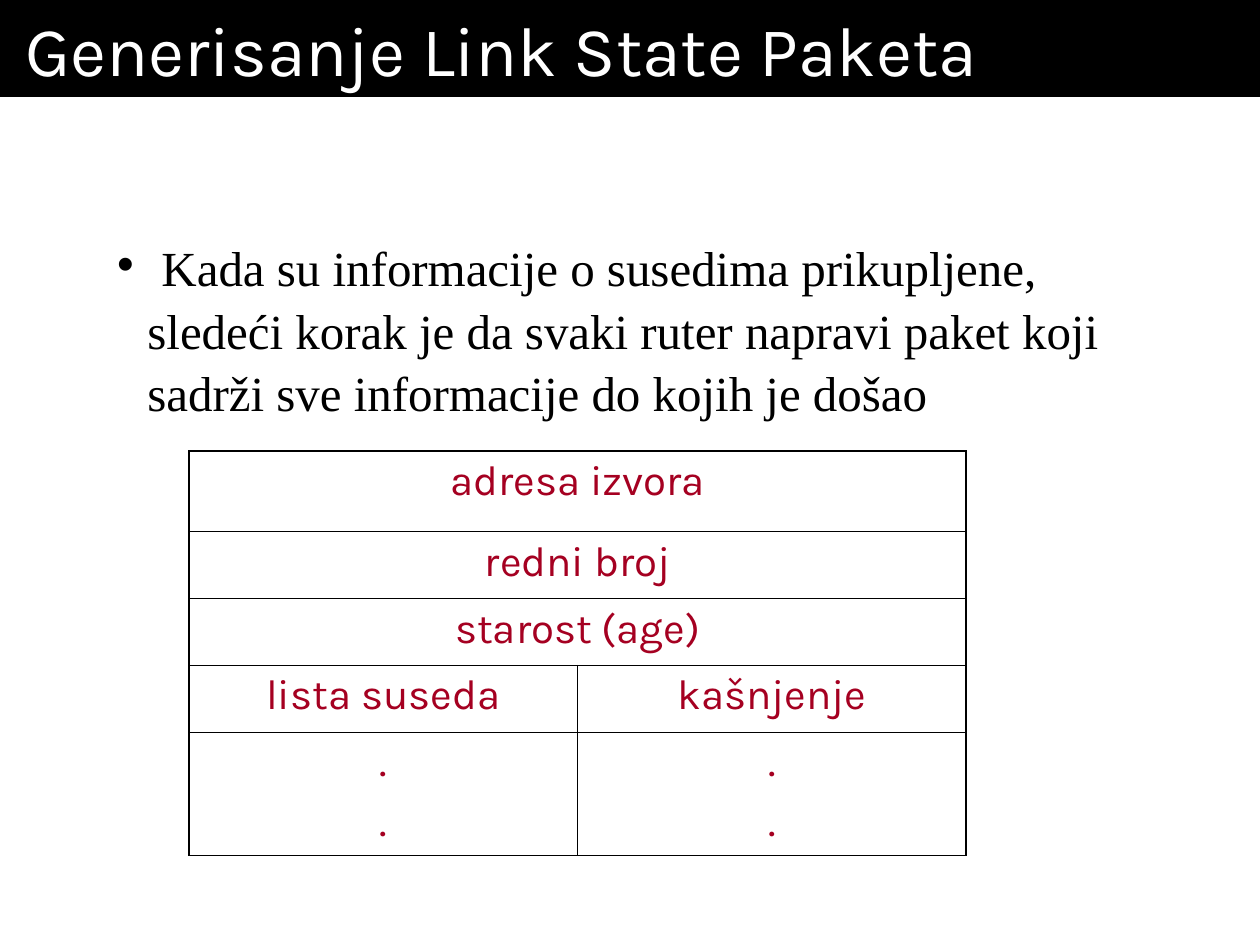
from dataclasses import dataclass

from lxml import etree
from pptx import Presentation
from pptx.dml.color import RGBColor
from pptx.enum.text import MSO_ANCHOR, MSO_AUTO_SIZE, PP_ALIGN
from pptx.oxml.ns import qn
from pptx.util import Inches, Pt

LEFT = PP_ALIGN.LEFT
CENTER = PP_ALIGN.CENTER
TOP = MSO_ANCHOR.TOP
MIDDLE = MSO_ANCHOR.MIDDLE
NO_AUTOFIT = MSO_AUTO_SIZE.NONE

BLACK = RGBColor(0x00, 0x00, 0x00)
WHITE = RGBColor(0xFF, 0xFF, 0xFF)
CRIMSON = RGBColor(0xA5, 0x00, 0x21)

HEADING_FONT = "Karla"
BODY_FONT = "Times New Roman"
OUTER_LINE = 1.08
INNER_LINE = 0.45


@dataclass(frozen=True)
class PacketRow:
    height: float
    fields: tuple[str, ...]


PACKET_ROWS = (
    PacketRow(0.64, ("adresa izvora",)),
    PacketRow(0.53, ("redni broj",)),
    PacketRow(0.53, ("starost (age)",)),
    PacketRow(0.53, ("lista suseda", "kašnjenje")),
    PacketRow(0.98, (".\n.", ".\n.")),
)


def add_span(para, text, *, size, font, color):
    span = para.add_run()
    span.text = text
    span.font.size = Pt(size)
    span.font.name = font
    span.font.color.rgb = color


def place(box, left, top, width, height):
    box.left, box.top = Inches(left), Inches(top)
    box.width, box.height = Inches(width), Inches(height)


def set_frame(frame, anchor, side_inset):
    frame.word_wrap = True
    frame.auto_size = NO_AUTOFIT
    frame.vertical_anchor = anchor
    frame.margin_left = frame.margin_right = Inches(side_inset)
    frame.margin_top = frame.margin_bottom = Inches(0.05)


def add_bullet(para, indent, color, percent):
    properties = para._p.get_or_add_pPr()
    properties.set("marL", str(Inches(indent)))
    properties.set("indent", str(-Inches(indent)))
    bullet_color = etree.SubElement(properties, qn("a:buClr"))
    etree.SubElement(bullet_color, qn("a:srgbClr"), val=str(color))
    etree.SubElement(properties, qn("a:buSzPct"), val=str(percent * 1000))
    etree.SubElement(properties, qn("a:buChar"), char="•")


def set_borders(cell, widths: dict[str, float]):
    properties = cell._tc.get_or_add_tcPr()
    for index, (edge, width) in enumerate(widths.items()):
        line = etree.Element(qn(f"a:ln{edge}"), w=str(Pt(width)))
        fill = etree.SubElement(line, qn("a:solidFill"))
        etree.SubElement(fill, qn("a:srgbClr"), val=str(BLACK))
        properties.insert(index, line)


def fill_cell(cell, text: str):
    cell.vertical_anchor = TOP
    cell.margin_left = cell.margin_right = Inches(0.1)
    cell.margin_top = cell.margin_bottom = Inches(0.05)
    frame = cell.text_frame
    for index, line in enumerate(text.split("\n")):
        para = frame.add_paragraph() if index else frame.paragraphs[0]
        para.alignment = CENTER
        if index:
            para.space_before = Pt(6)
        add_span(para, line, size=24, font=HEADING_FONT, color=CRIMSON)


def add_title(page):
    box = page.shapes.title
    place(box, 0, 0, 10, 0.77)
    box.fill.solid()
    box.fill.fore_color.rgb = BLACK
    set_frame(box.text_frame, MIDDLE, 0.2)
    para = box.text_frame.paragraphs[0]
    para.alignment = LEFT
    add_span(para, "Generisanje Link State Paketa",
             size=40, font=HEADING_FONT, color=WHITE)


def add_explanation(page):
    box = page.placeholders[1]
    place(box, 0.83, 1.75, 8.52, 1.57)
    set_frame(box.text_frame, TOP, 0.1)
    para = box.text_frame.paragraphs[0]
    add_bullet(para, 0.24, BLACK, 85)
    para.alignment = LEFT
    para.space_before = Pt(0)
    para.line_spacing = 1.05
    add_span(para, " ", size=32, font=BODY_FONT, color=BLACK)
    add_span(para,
             "Kada su informacije o susedima prikupljene, sledeći korak je da "
             "svaki ruter napravi paket koji sadrži sve informacije do kojih je došao",
             size=28, font=BODY_FONT, color=BLACK)


def add_packet_table(page):
    last_row, last_column = len(PACKET_ROWS) - 1, 1
    height = sum(row.height for row in PACKET_ROWS)
    table = page.shapes.add_table(
        len(PACKET_ROWS), 2, Inches(1.5), Inches(3.58), Inches(6.17), Inches(height)
    ).table
    table.first_row = table.horz_banding = False
    for row_index, row in enumerate(PACKET_ROWS):
        table.rows[row_index].height = Inches(row.height)
        merged = len(row.fields) == 1
        if merged:
            table.cell(row_index, 0).merge(table.cell(row_index, last_column))
        for column in range(2):
            cell = table.cell(row_index, column)
            cell.fill.background()
            outer_edges = {
                "L": merged or column == 0,
                "R": merged or column == last_column,
                "T": row_index == 0,
                "B": row_index == last_row,
            }
            set_borders(cell, {edge: OUTER_LINE if outer else INNER_LINE
                               for edge, outer in outer_edges.items()})
        for column, text in enumerate(row.fields):
            fill_cell(table.cell(row_index, column), text)


def main():
    deck = Presentation()
    deck.slide_width, deck.slide_height = Inches(10), Inches(7.5)
    page = deck.slides.add_slide(deck.slide_layouts[1])
    add_title(page)
    add_explanation(page)
    add_packet_table(page)
    deck.save("out.pptx")


if __name__ == "__main__":
    main()
